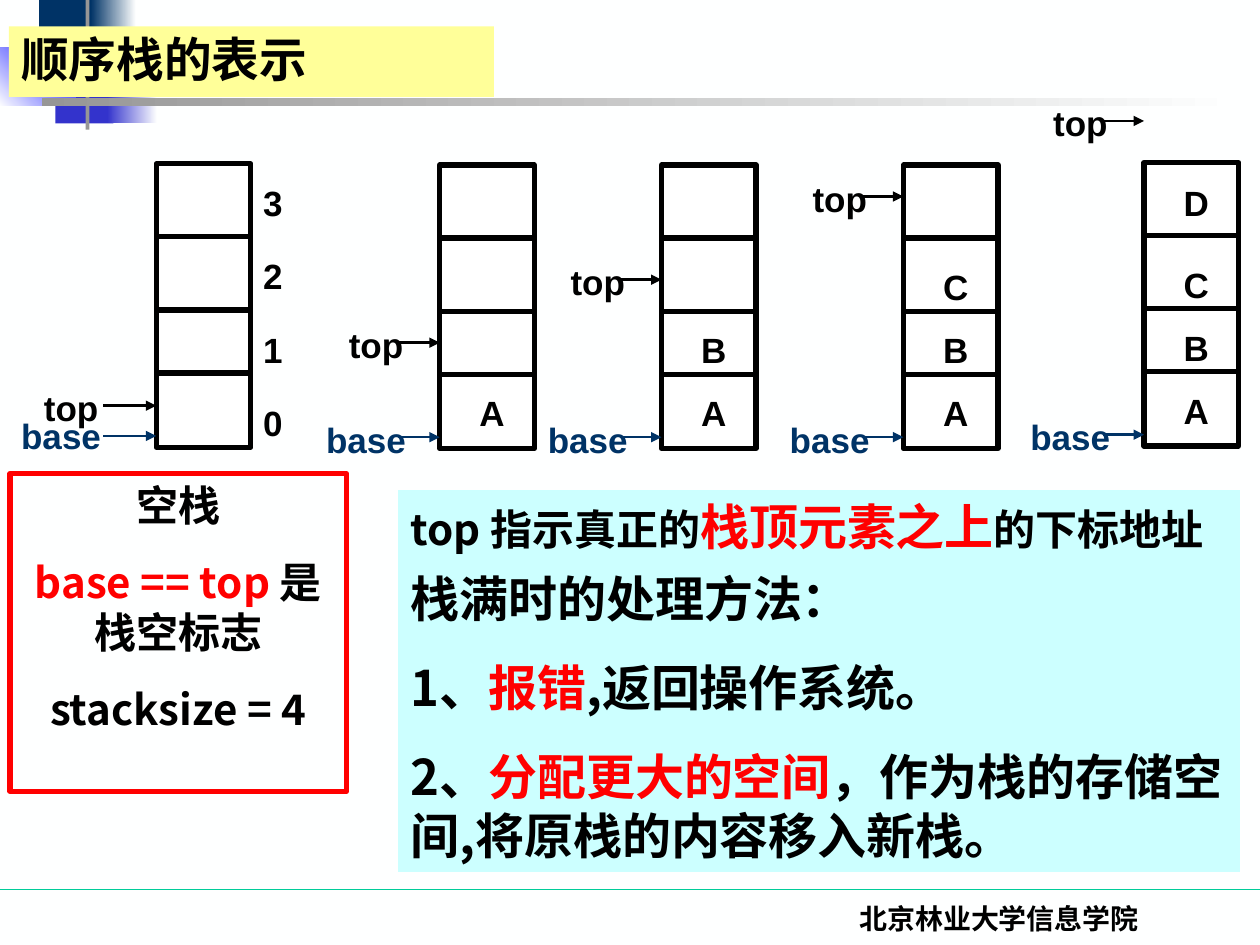
from dataclasses import dataclass

from lxml import etree
from pptx import Presentation
from pptx import util as u
from pptx.dml.color import RGBColor
from pptx.enum import shapes, text
from pptx.oxml import ns


@dataclass(frozen=True)
class Theme:
    paper: str = "FEFFFF"
    white: str = "FFFFFF"
    ink: str = "000000"
    navy: str = "003366"
    indigo: str = "3333CC"
    blue: str = "0000FF"
    gray: str = "969696"
    green: str = "00CC99"
    red: str = "FF0000"
    yellow: str = "FFFF99"
    cyan: str = "CCFFFF"
    cjk: str = "Noto Sans CJK SC"
    latin: str = "Arial"
    serif: str = "Times New Roman"
    title: float = 27.2
    large: float = 28
    body: float = 24
    label: float = 20
    footer: float = 16


THEME = Theme()

# The slide is a grid of 100 columns by 75 rows
COLUMNS, ROWS = 100, 75
CELL = u.Inches(0.1)

# Stack geometry, in grid cells measured from the stack's top left corner
STACK_WIDTH, STACK_HEIGHT = 7.5, 22.5
DIVIDERS = (5.8, 11.6, 16.6)
LETTER_ROWS = (17.5, 12.5, 7.5, 1)  # slots 0 to 3
BASE_ROW = 21.6
LABEL_WIDTH, LABEL_HEIGHT = 13.3, 4.4


def grid(*cells):
    return [round(cell * CELL) for cell in cells]


def rgb(value):
    return RGBColor.from_string(value)


def add_block(parent, place, fill=None, border=None, fade=None, angle=0):
    """Rectangle with a solid fill, or one that fades from fill to fade."""
    block = parent.add_shape(shapes.MSO_SHAPE.RECTANGLE, *grid(*place))
    block.shadow.inherit = False
    if fade:
        block.fill.gradient()
        block.fill.gradient_angle = angle
        for stop, color in zip(block.fill.gradient_stops, (fill, fade)):
            stop.color.rgb = rgb(color)
        for stop, position in zip(block.fill.gradient_stops, (0, 1)):
            stop.position = position
    elif fill:
        block.fill.solid()
        block.fill.fore_color.rgb = rgb(fill)
    else:
        block.fill.background()
    if border:
        block.line.color.rgb = rgb(border)
        block.line.width = u.Pt(3)
    else:
        block.line.fill.background()
    return block


def add_line(parent, start, end, color, width, arrow=False):
    line = parent.add_connector(shapes.MSO_CONNECTOR.STRAIGHT, *grid(*start, *end))
    line.line.color.rgb = rgb(color)
    line.line.width = u.Pt(width)
    properties = line._element.spPr
    if arrow:
        etree.SubElement(line.line._get_or_add_ln(), ns.qn("a:tailEnd"), type="triangle")
    etree.SubElement(properties, ns.qn("a:effectLst"))


def write(box, paragraphs, size, font=THEME.cjk, align=text.PP_ALIGN.LEFT,
          anchor=text.MSO_ANCHOR.TOP, gap=0):
    """Each paragraph is a list of spans: (words, color) or (words, color, size)."""
    frame = box.text_frame
    frame.word_wrap = True
    frame.vertical_anchor = anchor
    for index, spans in enumerate(paragraphs):
        para = frame.add_paragraph() if index else frame.paragraphs[0]
        para.alignment = align
        if index:
            para.space_before = u.Pt(gap)
        for words, color, *own_size in spans:
            span = para.add_run()
            span.text = words
            span.font.size = u.Pt(own_size[0] if own_size else size)
            span.font.bold = True
            span.font.name = font
            span.font.color.rgb = rgb(color)
            etree.SubElement(span._r.get_or_add_rPr(), ns.qn("a:ea"), typeface=THEME.cjk)
    return frame


def add_label(parent, words, place, color=THEME.ink, align=text.PP_ALIGN.CENTER):
    box = parent.add_textbox(*grid(*place))
    write(box, [[(words, color)]], THEME.label, THEME.latin, align)


def add_pointer(parent, words, left, row, color, label_left, reach, label_rise=2):
    """Named arrow that ends at the left edge of a stack."""
    add_line(parent, (left - reach, row), (left, row), color, 1.5, arrow=True)
    add_label(parent, words, (label_left, row - label_rise, LABEL_WIDTH, LABEL_HEIGHT), color)


def add_stack(page, left, top, letters, top_row, reach=3.3, shift=0):
    parts = page.shapes.add_group_shape().shapes
    add_block(parts, (left, top, STACK_WIDTH, STACK_HEIGHT), THEME.white, THEME.ink)
    for divider in DIVIDERS:
        row = top + divider
        add_line(parts, (left, row), (left + STACK_WIDTH, row), THEME.ink, 3)
    for letter, row in zip(letters, LETTER_ROWS):
        add_label(parts, letter, (left + 0.8, top + row, 6.7, LABEL_HEIGHT))
    add_pointer(parts, "top", left, top + top_row, THEME.ink, left - 11.7 - shift, reach)
    add_pointer(parts, "base", left, top + BASE_ROW, THEME.navy,
                left - 12.5 - shift, reach, 2.2 if shift else 2)
    return parts


def add_decoration(page):
    """Corner blocks, crossing bars and the footer rule."""
    add_line(page.shapes, (0, 70.6), (COLUMNS, 70.6), THEME.green, 0.75)
    parts = page.shapes.add_group_shape().shapes
    add_block(parts, (3.1, 0, 4.8, 5.2), THEME.navy)
    add_block(parts, (7.2, 0, 3.6, 5.2), THEME.navy, fade=THEME.paper)
    add_block(parts, (4.4, 4.6, 4.6, 5.2), THEME.indigo)
    add_block(parts, (8.5, 4.6, 4, 5.2), THEME.indigo, fade=THEME.paper)
    add_block(parts, (-0.1, 3.8, 6.1, 4.6), THEME.paper, fade=THEME.blue, angle=45)
    add_block(parts, (6.8, -1.2, 0.3, 11.5), THEME.gray)
    add_block(parts, (3.3, 7.8, 95.1, 0.6), THEME.gray, fade=THEME.paper)


def add_stacks(page):
    empty = add_stack(page, 12.4, 13, "", 19.2, reach=4.2, shift=1.7)
    for slot in range(4):
        row = 31.4 - 5.83 * slot
        add_label(empty, str(slot), (19.9, row, 3.3, LABEL_HEIGHT), align=text.PP_ALIGN.LEFT)
    add_stack(page, 34.9, 13.1, "A", 14.1)
    add_stack(page, 52.5, 13.1, "AB", 9.1)
    add_stack(page, 71.7, 13.1, "ABC", 2.5)
    # The full stack's top pointer stands above it
    add_stack(page, 90.8, 12.9, "ABCD", -3.3)


def add_notes(page):
    ink, red = THEME.ink, THEME.red
    empty = add_block(page.shapes, (0.8, 37.6, 26.7, 25.2), border=red)
    write(empty, [
        [("空栈", ink)],
        [("base == top ", red), ("是栈空标志", ink)],
        [("stacksize = 4", ink)],
    ], THEME.body, align=text.PP_ALIGN.CENTER, gap=15)

    meaning = add_block(page.shapes, (31.6, 38.9, 66.8, 9.7), THEME.cyan)
    write(meaning, [[("top 指示真正的", ink), ("栈顶元素之上", red, THEME.large),
                     ("的下标地址", ink)]], THEME.body)

    overflow = add_block(page.shapes, (31.6, 44.6, 66.8, 24.6), THEME.cyan)
    write(overflow, [
        [("栈满时的处理方法：", ink)],
        [("1、", ink), ("报错", red), (",返回操作系统。", ink)],
        [("2、", ink), ("分配更大的空间", red),
         ("，作为栈的存储空间,将原栈的内容移入新栈。", ink)],
    ], THEME.large, gap=17.5)


def main():
    deck = Presentation()
    deck.slide_width, deck.slide_height = grid(COLUMNS, ROWS)
    page = deck.slides.add_slide(deck.slide_layouts[6])
    page.background.fill.solid()
    page.background.fill.fore_color.rgb = rgb(THEME.paper)

    add_decoration(page)

    # Footer and title
    footer = page.shapes.add_textbox(*grid(58.6, 71.1, 41.4, 5))
    write(footer, [[("北京林业大学信息学院", THEME.ink)]], THEME.footer, THEME.serif,
          text.PP_ALIGN.CENTER)
    title = add_block(page.shapes, (0.7, 2.1, 38.5, 5.6), THEME.yellow)
    frame = write(title, [[("顺序栈的表示", THEME.ink)]], THEME.title,
                  anchor=text.MSO_ANCHOR.MIDDLE)
    frame.paragraphs[0].line_spacing = 0.9

    add_stacks(page)
    add_notes(page)
    deck.save("out.pptx")


if __name__ == "__main__":
    main()
